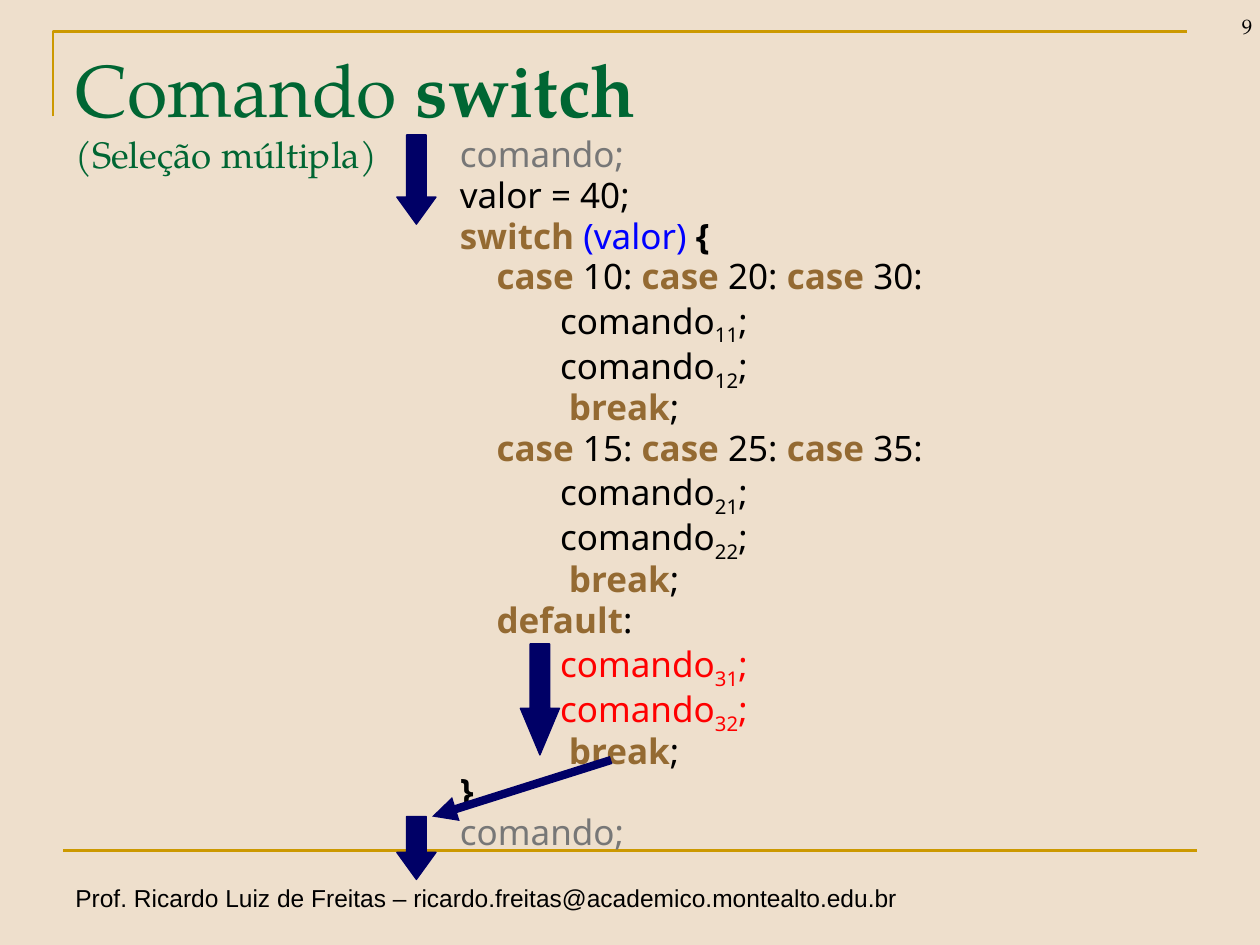
from dataclasses import dataclass

from lxml import etree
from pptx import Presentation
from pptx.dml.color import RGBColor
from pptx.enum.shapes import MSO_CONNECTOR, MSO_SHAPE
from pptx.enum.text import MSO_ANCHOR, MSO_AUTO_SIZE, PP_ALIGN
from pptx.oxml.ns import qn
from pptx.util import Cm, Pt

STRAIGHT = MSO_CONNECTOR.STRAIGHT
DOWN_ARROW = MSO_SHAPE.DOWN_ARROW
TOP, BOTTOM = MSO_ANCHOR.TOP, MSO_ANCHOR.BOTTOM
LEFT, RIGHT = PP_ALIGN.LEFT, PP_ALIGN.RIGHT
FIT_SHAPE = MSO_AUTO_SIZE.SHAPE_TO_FIT_TEXT
NO_FIT = MSO_AUTO_SIZE.NONE


@dataclass(frozen=True)
class Theme:
    background: str = "EEDFCC"
    rule: str = "CC9900"
    title: str = "006633"
    text: str = "000000"
    muted: str = "777777"
    keyword: str = "946A32"
    expression: str = "0000FF"
    active: str = "FF0000"
    arrow: str = "000066"
    serif: str = "TeX Gyre Pagella"
    code: str = "Noto Sans"
    sans: str = "Arial"
    title_size: int = 42
    subtitle_size: int = 21
    code_size: int = 20
    footer_size: int = 14
    number_size: int = 12


THEME = Theme()
CASE_INDENT = 0.74
COMMAND_INDENT = 2.02
BREAK_INDENT = 2.2


def color(value):
    return RGBColor.from_string(value)


def add_run(paragraph, text, *, font, size, fill=THEME.text, bold=False, subscript=False):
    run = paragraph.add_run()
    run.text = text
    run.font.name = font
    run.font.size = Pt(size)
    run.font.bold = bold
    run.font.color.rgb = color(fill)
    if subscript:
        run.font._element.set("baseline", "-25000")


def add_text_box(slide, left, top, width, height, *, wrap=True, anchor=TOP, fit=NO_FIT):
    shape = slide.shapes.add_textbox(Cm(left), Cm(top), Cm(width), Cm(height))
    frame = shape.text_frame
    frame.word_wrap = wrap
    frame.auto_size = fit
    frame.vertical_anchor = anchor
    return frame


def add_label(slide, text, box, *, align=LEFT, wrap=True, anchor=TOP, fit=NO_FIT, **style):
    frame = add_text_box(slide, *box, wrap=wrap, anchor=anchor, fit=fit)
    paragraph = frame.paragraphs[0]
    paragraph.alignment = align
    add_run(paragraph, text, **style)


def add_title(slide):
    frame = add_text_box(slide, 1.27, 0.76, 22.86, 3.18)
    paragraph = frame.paragraphs[0]
    style = {"font": THEME.serif, "fill": THEME.title}
    add_run(paragraph, "Comando ", size=THEME.title_size, **style)
    add_run(paragraph, "switch", size=THEME.title_size, bold=True, **style)
    paragraph.add_line_break()
    add_run(paragraph, "(Seleção múltipla)", size=THEME.subtitle_size, **style)


def plain(text, fill=THEME.text):
    return text, {"fill": fill}


def bold(text, fill=THEME.keyword):
    return text, {"fill": fill, "bold": True}


def case_line(*values):
    runs = []
    for value in values:
        ending = ":" if value == values[-1] else ": "
        runs += [bold("case"), plain(f" {value}{ending}")]
    return CASE_INDENT, runs


def command_lines(group, fill=THEME.text):
    lines = [
        (COMMAND_INDENT, [
            plain("comando", fill),
            (f"{group}{number}", {"fill": fill, "subscript": True}),
            plain(";", fill),
        ])
        for number in (1, 2)
    ]
    return lines + [(BREAK_INDENT, [bold("break"), plain(";")])]


def code_lines():
    outside = (0, [plain("comando;", THEME.muted)])
    return [
        outside,
        (0, [plain("valor = 40;")]),
        (0, [bold("switch "), plain("(valor) ", THEME.expression), bold("{", THEME.text)]),
        case_line(10, 20, 30),
        *command_lines(1),
        case_line(15, 25, 35),
        *command_lines(2),
        (CASE_INDENT, [bold("default"), plain(":")]),
        *command_lines(3, THEME.active),
        (0, [bold("}", THEME.text)]),
        outside,
    ]


def add_code(slide):
    frame = add_text_box(slide, 9.02, 2.72, 15.29, 14.63, fit=FIT_SHAPE)
    for index, (indent, runs) in enumerate(code_lines()):
        paragraph = frame.add_paragraph() if index else frame.paragraphs[0]
        paragraph.line_spacing = 0.8
        properties = paragraph._p.get_or_add_pPr()
        properties.set("marL", str(Cm(indent)))
        before = etree.SubElement(properties, qn("a:spcBef"))
        etree.SubElement(before, qn("a:spcPct")).set("val", "20000")
        for text, style in runs:
            add_run(paragraph, text, font=THEME.code, size=THEME.code_size, **style)


def add_corner(slide):
    left, top = Cm(1.07), Cm(0.64)
    builder = slide.shapes.build_freeform(left, Cm(2.34))
    builder.add_line_segments([(left, top), (Cm(23.93), top)], close=False)
    shape = builder.convert_to_shape()
    shape.shadow.inherit = False
    shape.fill.background()
    shape.line.color.rgb = color(THEME.rule)
    shape.line.width = Pt(1.5)


def add_line(slide, start, end, *, fill, width, arrow=False):
    points = [Cm(value) for value in (*start, *end)]
    connector = slide.shapes.add_connector(STRAIGHT, *points)
    connector.line.color.rgb = color(fill)
    connector.line.width = Pt(width)
    if arrow:
        line = connector.line._get_or_add_ln()
        etree.SubElement(line, qn("a:tailEnd")).set("type", "triangle")
    etree.SubElement(connector._element.spPr, qn("a:effectLst"))


def add_down_arrow(slide, left, top, height, head):
    shape = slide.shapes.add_shape(DOWN_ARROW, Cm(left), Cm(top), Cm(0.79), Cm(height))
    shape.adjustments[0] = 0.5
    shape.adjustments[1] = head
    shape.shadow.inherit = False
    shape.fill.solid()
    shape.fill.fore_color.rgb = color(THEME.arrow)
    shape.line.color.rgb = color(THEME.arrow)
    shape.line.width = Pt(0.75)


def main():
    presentation = Presentation()
    presentation.slide_width, presentation.slide_height = Cm(25.4), Cm(19.05)
    slide = presentation.slides.add_slide(presentation.slide_layouts[6])
    slide.background.fill.solid()
    slide.background.fill.fore_color.rgb = color(THEME.background)

    add_label(slide, "Prof. Ricardo Luiz de Freitas – ricardo.freitas@academico.montealto.edu.br",
              (1.27, 17.68, 17.42, 0.86), wrap=False, fit=FIT_SHAPE,
              font=THEME.sans, size=THEME.footer_size)
    add_corner(slide)
    add_line(slide, (1.27, 17.15), (24.13, 17.15), fill=THEME.rule, width=1.5)
    add_label(slide, "9", (23.6, -0.36, 1.9, 1.27), align=RIGHT, anchor=BOTTOM,
              font=THEME.serif, size=THEME.number_size)
    add_title(slide)
    add_code(slide)
    for arrow in ((8, 16.46, 1.27, 0.69), (10.49, 12.98, 2.24, 1.19), (8, 2.72, 1.8, 0.69)):
        add_down_arrow(slide, *arrow)
    add_line(slide, (12.32, 15.32), (8.71, 16.46), fill=THEME.arrow, width=4.75, arrow=True)
    presentation.save("out.pptx")


if __name__ == "__main__":
    main()
